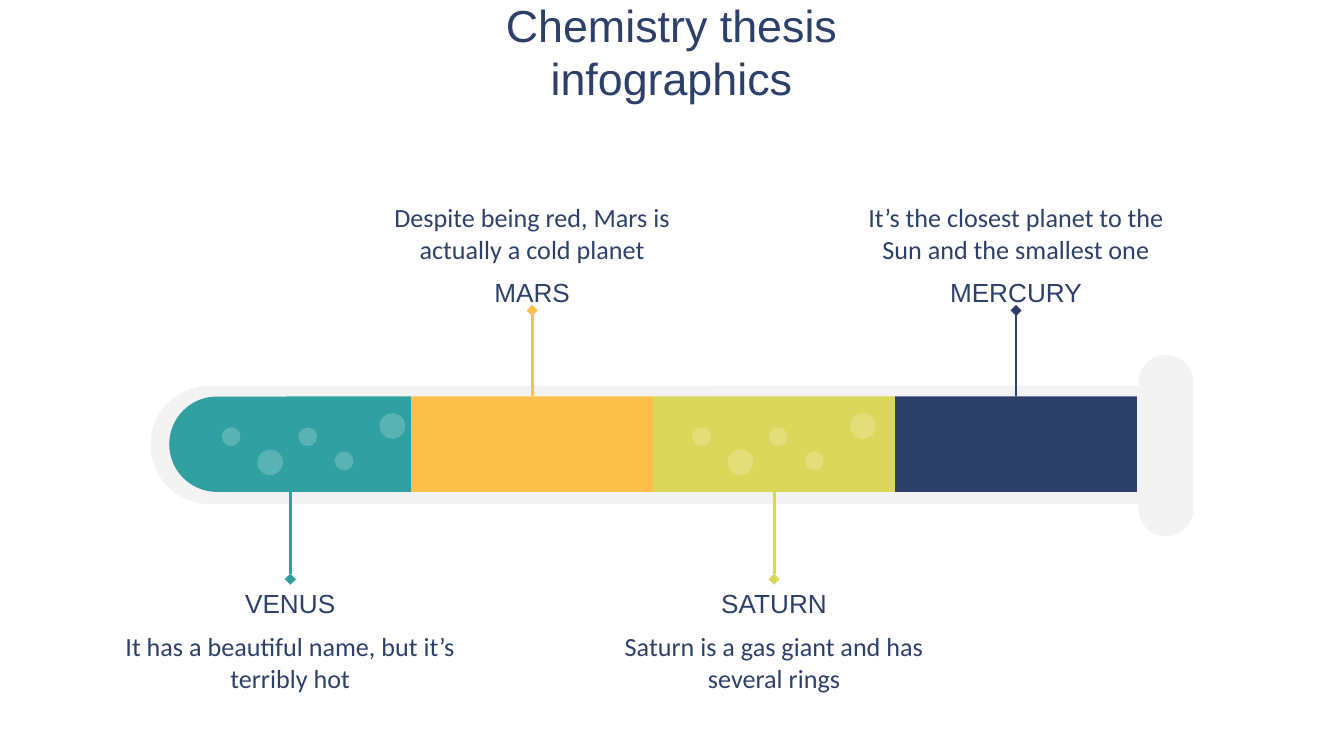
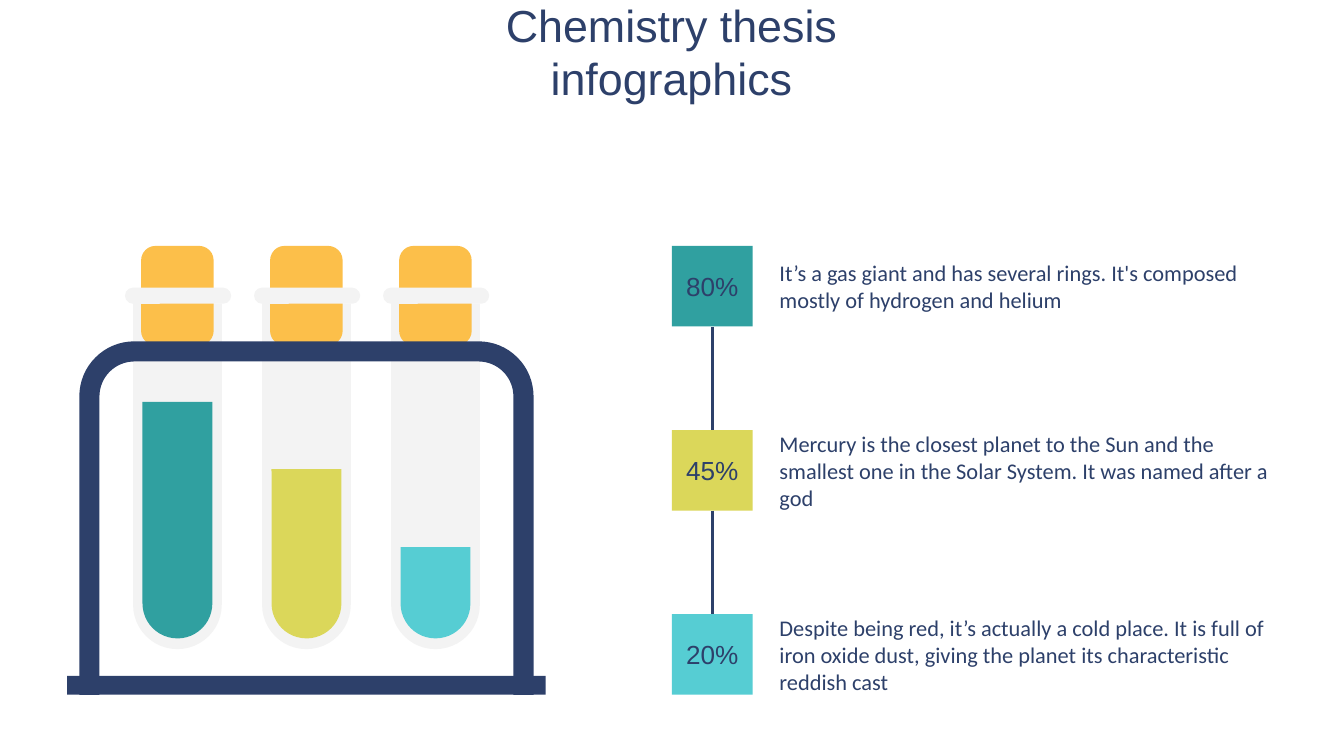
from dataclasses import dataclass
from itertools import pairwise
from math import cos, pi, sin

from pptx import Presentation
from pptx.dml.color import RGBColor as RGB
from pptx.enum.shapes import MSO_CONNECTOR as Link, MSO_SHAPE as Kind
from pptx.enum.text import MSO_ANCHOR as Anchor, MSO_AUTO_SIZE as Auto, PP_ALIGN as Align
from pptx.oxml.ns import qn
from pptx.shapes.autoshape import Shape
from pptx.shapes.connector import Connector
from pptx.slide import Slide
from pptx.text.text import TextFrame
from pptx.util import Inches, Pt
from lxml.etree import SubElement as Sub

NAVY = RGB(0x2D, 0x40, 0x6A)
TEAL = RGB(0x30, 0xA0, 0xA0)
GOLD = RGB(0xFC, 0xBF, 0x4A)
LIME = RGB(0xDB, 0xD7, 0x5A)
AQUA = RGB(0x56, 0xCD, 0xD3)
GLASS = RGB(0xF3, 0xF3, 0xF3)
WHITE = RGB(0xFF, 0xFF, 0xFF)
HEAD, BODY = "Arial", "Calibri"
TITLE = "Chemistry thesis infographics"


@dataclass(frozen=True)
class Box:
    left: float
    top: float
    width: float
    height: float

    @property
    def mid(self) -> float:
        return self.left + self.width / 2

    def frame(self) -> tuple[int, ...]:
        return tuple(Inches(n) for n in (self.left, self.top, self.width, self.height))

    def turned(self) -> "Box":
        shift = (self.width - self.height) / 2
        return Box(self.left + shift, self.top - shift, self.height, self.width)


@dataclass(frozen=True)
class Planet:
    name: str
    note: str
    color: RGB
    above: bool


@dataclass(frozen=True)
class Bubble:
    x: float
    y: float
    size: float


@dataclass(frozen=True)
class Sample:
    share: str
    note: str
    color: RGB
    level: float


PLANETS = (
    Planet("VENUS", "It has a beautiful name, but it’s terribly hot", TEAL, False),
    Planet("MARS", "Despite being red, Mars is actually a cold planet", GOLD, True),
    Planet("SATURN", "Saturn is a gas giant and has several rings", LIME, False),
    Planet("MERCURY", "It’s the closest planet to the Sun and the smallest one", NAVY, True),
)
BUBBLES = (
    Bubble(2.92, 3.17, 0.19),
    Bubble(2.01, 3.44, 0.19),
    Bubble(2.56, 3.43, 0.14),
    Bubble(1.72, 3.25, 0.14),
    Bubble(2.29, 3.25, 0.14),
)
SAMPLES = (
    Sample("80%", "It’s a gas giant and has several rings. It's composed mostly of "
           "hydrogen and helium", TEAL, 2.99),
    Sample("45%", "Mercury is the closest planet to the Sun and the smallest one in the "
           "Solar System. It was named after a god", LIME, 3.49),
    Sample("20%", "Despite being red, it’s actually a cold place. It is full of iron oxide "
           "dust, giving the planet its characteristic reddish cast", AQUA, 4.07),
)


def write(frame: TextFrame, text: str, font: str, size: int,
          align: Align = Align.CENTER, anchor: Anchor = Anchor.MIDDLE, inset: float = 0) -> None:
    frame.word_wrap = True
    frame.auto_size = Auto.NONE
    frame.vertical_anchor = anchor
    frame.margin_left = frame.margin_right = Inches(inset)
    frame.margin_top = frame.margin_bottom = Inches(inset)
    par = frame.paragraphs[0]
    par.alignment = align
    run = par.add_run()
    run.text = text
    run.font.name = font
    run.font.size = Pt(size)
    run.font.color.rgb = NAVY


def label(slide: Slide, box: Box, text: str, font: str, size: int,
          align: Align = Align.CENTER) -> Shape:
    shape = slide.shapes.add_textbox(*box.frame())
    write(shape.text_frame, text, font, size, align)
    return shape


def paint(shape: Shape, color: RGB) -> Shape:
    shape.shadow.inherit = False
    shape.fill.solid()
    shape.fill.fore_color.rgb = color
    shape.line.fill.background()
    return shape


def block(slide: Slide, box: Box, color: RGB, kind: Kind = Kind.RECTANGLE) -> Shape:
    return paint(slide.shapes.add_shape(kind, *box.frame()), color)


def pill(slide: Slide, box: Box, color: RGB, curve: float = 0.5) -> None:
    shape = block(slide, box, color, Kind.ROUNDED_RECTANGLE)
    shape.adjustments[0] = curve


def tube(slide: Slide, box: Box, color: RGB, turn: int) -> Shape:
    frame = box.turned() if turn == 270 else box
    shape = block(slide, frame, color, Kind.ROUND_2_SAME_RECTANGLE)
    shape.adjustments[0] = 0.5
    shape.adjustments[1] = 0
    shape.rotation = turn
    return shape


def bubble(slide: Slide, spot: Bubble, shift: float) -> None:
    half = spot.size / 2
    box = Box(spot.x + shift - half, spot.y - half, spot.size, spot.size)
    shape = block(slide, box, WHITE, Kind.OVAL)
    tint = next(shape.element.iter(qn("a:srgbClr")))
    Sub(tint, qn("a:alpha"), val="20000")


def line(slide: Slide, x: float, start: float, end: float, color: RGB) -> Connector:
    wire = slide.shapes.add_connector(
        Link.STRAIGHT, Inches(x), Inches(start), Inches(x), Inches(end))
    wire.line.color.rgb = color
    wire.line.width = Pt(1.5)
    Sub(wire.element.spPr, qn("a:effectLst"))
    return wire


def page(deck: Presentation) -> Slide:
    slide = deck.slides.add_slide(deck.slide_layouts[5])
    title = slide.shapes.title
    title.left, title.top, title.width, title.height = Box(2.79, 0.45, 4.41, 0.43).frame()
    write(title.text_frame, TITLE, HEAD, 24, anchor=Anchor.BOTTOM, inset=0.1)
    return slide


def pointer(slide: Slide, planet: Planet, part: Shape, x: float) -> None:
    name_top, note_top = (1.99, 1.48) if planet.above else (4.31, 4.67)
    start, end = (2.31, 2.95) if planet.above else (4.31, 3.66)
    label(slide, Box(x - 1.25, note_top, 2.5, 0.51), planet.note, BODY, 14)
    name = label(slide, Box(x - 0.85, name_top, 1.7, 0.36), planet.name, HEAD, 14)
    wire = line(slide, x, start, end, planet.color)
    Sub(wire.line._get_or_add_ln(), qn("a:headEnd"), type="diamond")
    if not planet.above:
        wire.begin_connect(name, 0)
    if part.rotation == 0:
        wire.end_connect(part, 0 if planet.above else 2)


def planets(deck: Presentation) -> None:
    slide = page(deck)
    tube(slide, Box(1.12, 2.87, 7.37, 0.88), GLASS, 270)
    parts = []
    for i, planet in enumerate(PLANETS):
        box = Box(1.26 + 1.8 * i, 2.95, 1.8, 0.71)
        part = block(slide, box, planet.color) if i else tube(slide, box, planet.color, 270)
        parts.append((planet, part, box.mid))
    pill(slide, Box(8.47, 2.64, 0.41, 1.35), GLASS)
    for shift in (0, 3.5):
        for spot in BUBBLES:
            bubble(slide, spot, shift)
    for planet, part, x in parts:
        pointer(slide, planet, part, x)


def arch(inset: float) -> list[tuple[float, float]]:
    bend = 0.41 - inset
    steps = 16
    points = [(0.59 + inset, 5.17)]
    for x, first in ((1, pi), (3.56, pi / 2)):
        for i in range(steps + 1):
            angle = first - pi / 2 * i / steps
            points.append((x + bend * cos(angle), 2.95 - bend * sin(angle)))
    return points + [(3.97 - inset, 5.17)]


def rack(slide: Slide) -> None:
    points = [(Inches(x), Inches(y)) for x, y in arch(0) + arch(0.15)[::-1]]
    build = slide.shapes.build_freeform(*points[0])
    build.add_line_segments(points[1:])
    paint(build.convert_to_shape(), NAVY)
    block(slide, Box(0.5, 5.03, 3.56, 0.14), NAVY)


def samples(deck: Presentation) -> None:
    slide = page(deck)
    mids = [1.32 + 0.96 * i for i in range(len(SAMPLES))]
    for x in mids:
        tube(slide, Box(x - 0.33, 2.26, 0.66, 2.57), GLASS, 180)
        pill(slide, Box(x - 0.27, 1.83, 0.54, 0.74), GOLD, 0.2)
        pill(slide, Box(x - 0.39, 2.14, 0.79, 0.12), GLASS)
    rack(slide)
    keys = []
    for i, (x, item) in enumerate(zip(mids, SAMPLES)):
        tube(slide, Box(x - 0.26, item.level, 0.52, 4.75 - item.level), item.color, 180)
        top = 1.83 + 1.37 * i
        label(slide, Box(5.8, top, 3.7, 0.6), item.note, BODY, 12, Align.LEFT)
        key = block(slide, Box(5, top, 0.6, 0.6), item.color)
        write(key.text_frame, item.share, HEAD, 14)
        keys.append((key, top))
    for (upper, top), (lower, end) in pairwise(keys):
        wire = line(slide, 5.3, top + 0.6, end, NAVY)
        wire.begin_connect(upper, 2)
        wire.end_connect(lower, 0)


def main() -> None:
    deck = Presentation()
    deck.slide_width = Inches(10)
    deck.slide_height = Inches(10) * 9 // 16
    planets(deck)
    samples(deck)
    deck.save("out.pptx")


if __name__ == "__main__":
    main()
